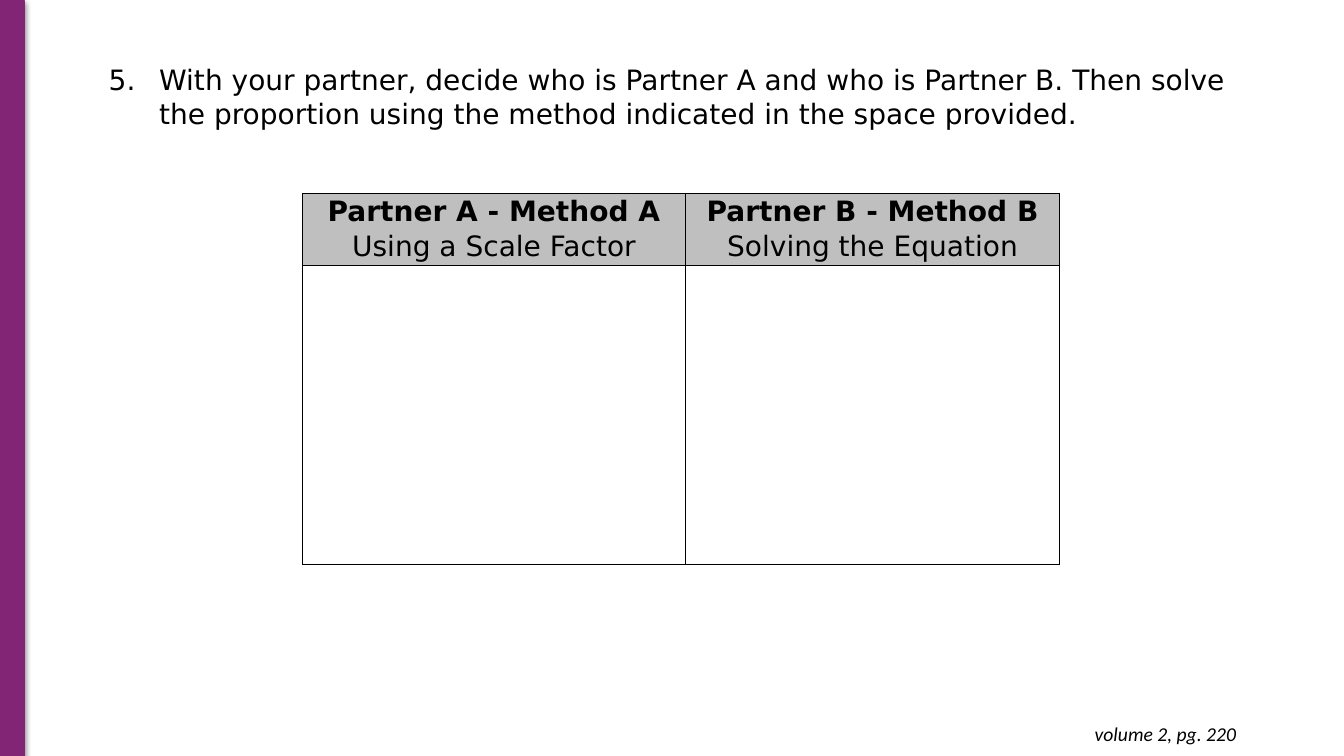
from dataclasses import dataclass

from lxml import etree
from pptx import Presentation
from pptx.dml.color import RGBColor
from pptx.enum.shapes import MSO_SHAPE
from pptx.enum.text import MSO_AUTO_SIZE, PP_ALIGN
from pptx.oxml.ns import qn
from pptx.util import Inches, Pt

RECTANGLE = MSO_SHAPE.RECTANGLE
GROW = MSO_AUTO_SIZE.SHAPE_TO_FIT_TEXT
LEFT, CENTER, RIGHT = PP_ALIGN.LEFT, PP_ALIGN.CENTER, PP_ALIGN.RIGHT


@dataclass(frozen=True)
class Theme:
    accent: str = "822574"
    ink: str = "000000"
    header: str = "BFBFBF"
    body_font: str = "DejaVu Sans"
    note_font: str = "Calibri"
    body_size: int = 20
    note_size: int = 14


def add_element(parent, tag, **attributes):
    return etree.SubElement(parent, qn(tag), attributes)


class SlideBuilder:
    def __init__(self, slide, theme):
        self.slide = slide
        self.theme = theme

    def add_run(self, paragraph, text, font=None, size=None, bold=False, italic=False):
        run = paragraph.add_run()
        run.text = text
        run.font.name = font or self.theme.body_font
        run.font.size = Pt(size or self.theme.body_size)
        run.font.bold = bold
        run.font.italic = italic
        run.font.color.rgb = RGBColor.from_string(self.theme.ink)

    def side_bar(self, left, top, width, height):
        bar = self.slide.shapes.add_shape(
            RECTANGLE, Inches(left), Inches(top), Inches(width), Inches(height))
        accent = RGBColor.from_string(self.theme.accent)
        bar.fill.solid()
        bar.fill.fore_color.rgb = accent
        bar.line.color.rgb = accent
        bar.line.width = Pt(0.75)
        bar.shadow.inherit = False
        effects = bar._element.spPr.find(qn("a:effectLst"))
        shadow = add_element(effects, "a:outerShdw", blurRad=str(Pt(4.5)),
                             dist=str(Pt(1.5)), dir="5400000", rotWithShape="0")
        color = add_element(shadow, "a:srgbClr", val=self.theme.ink)
        add_element(color, "a:alpha", val="50000")

    def text_box(self, left, top, width, height, align):
        box = self.slide.shapes.add_textbox(
            Inches(left), Inches(top), Inches(width), Inches(height))
        frame = box.text_frame
        frame.word_wrap = True
        frame.auto_size = GROW
        paragraph = frame.paragraphs[0]
        paragraph.alignment = align
        return frame, paragraph

    def numbered_question(self, left, top, width, height, number, text):
        _, question = self.text_box(left, top, width, height, LEFT)
        properties = question._p.get_or_add_pPr()
        properties.set("marL", str(Inches(0.5)))
        properties.set("indent", str(Inches(-0.5)))
        bullet_color = add_element(properties, "a:buClr")
        add_element(bullet_color, "a:srgbClr", val=self.theme.ink)
        add_element(properties, "a:buFont", typeface=self.theme.body_font)
        add_element(properties, "a:buAutoNum", type="arabicPeriod", startAt=str(number))
        self.add_run(question, text)

    def page_note(self, left, top, width, height, text):
        frame, note = self.text_box(left, top, width, height, RIGHT)
        frame.margin_top = frame.margin_bottom = Inches(0.1)
        self.add_run(note, text, self.theme.note_font, self.theme.note_size, italic=True)

    def cell_borders(self, cell):
        properties = cell._tc.get_or_add_tcPr()
        for side in ("a:lnL", "a:lnR", "a:lnT", "a:lnB"):
            border = add_element(properties, side, w=str(Pt(1)))
            fill = add_element(border, "a:solidFill")
            add_element(fill, "a:srgbClr", val=self.theme.ink)

    def method_table(self, left, top, widths, heights, methods):
        table = self.slide.shapes.add_table(
            len(heights), len(widths), Inches(left), Inches(top),
            Inches(sum(widths)), Inches(sum(heights))).table
        table.first_row = table.horz_banding = False
        for row, height in zip(table.rows, heights):
            row.height = Inches(height)
        for column, width in zip(table.columns, widths):
            column.width = Inches(width)
        for cell in table.iter_cells():
            cell.margin_left = cell.margin_right = Inches(0.07)
            cell.margin_top = cell.margin_bottom = 0
            self.cell_borders(cell)
            cell.fill.background()
        for index, (partner, method) in enumerate(methods):
            header = table.cell(0, index)
            header.fill.solid()
            header.fill.fore_color.rgb = RGBColor.from_string(self.theme.header)
            frame = header.text_frame
            self.add_run(frame.paragraphs[0], partner, bold=True)
            self.add_run(frame.add_paragraph(), method)
            for paragraph in frame.paragraphs:
                paragraph.alignment = CENTER
                paragraph.line_spacing = 1.07


def main():
    presentation = Presentation()
    presentation.slide_width = Inches(13.33)
    presentation.slide_height = Inches(7.5)
    slide = presentation.slides.add_slide(presentation.slide_layouts[6])
    builder = SlideBuilder(slide, Theme())
    builder.side_bar(0, 0.01, 0.24, 7.51)
    builder.numbered_question(
        0.98, 0.57, 11.53, 0.77, 5,
        "With your partner, decide who is Partner A and who is Partner B. "
        "Then solve the proportion using the method indicated in the space provided.")
    builder.method_table(
        3, 1.92, (3.8, 3.71), (0.71, 2.97),
        (("Partner A - Method A", "Using a Scale Factor"),
         ("Partner B - Method B", "Solving the Equation")))
    builder.page_note(9.48, 7.06, 2.88, 0.44, "volume 2, pg. 220")
    presentation.save("out.pptx")


if __name__ == "__main__":
    main()
